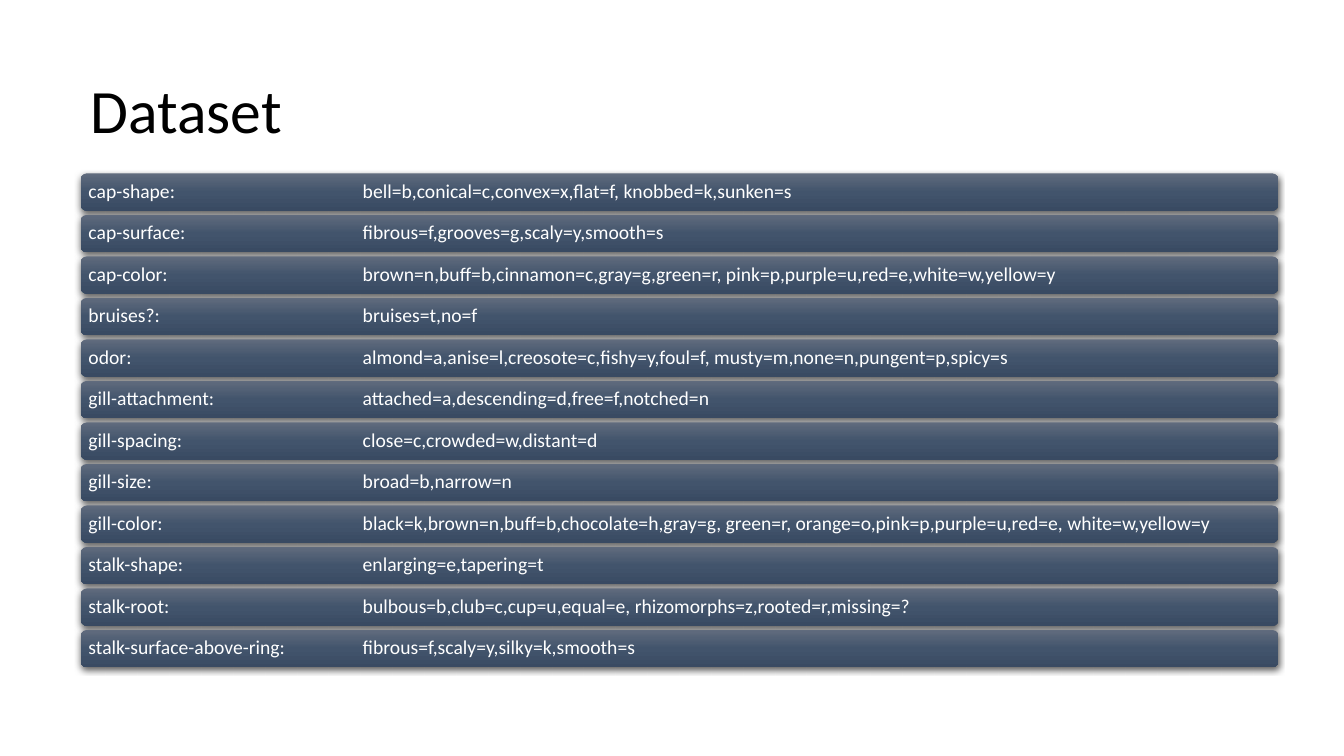
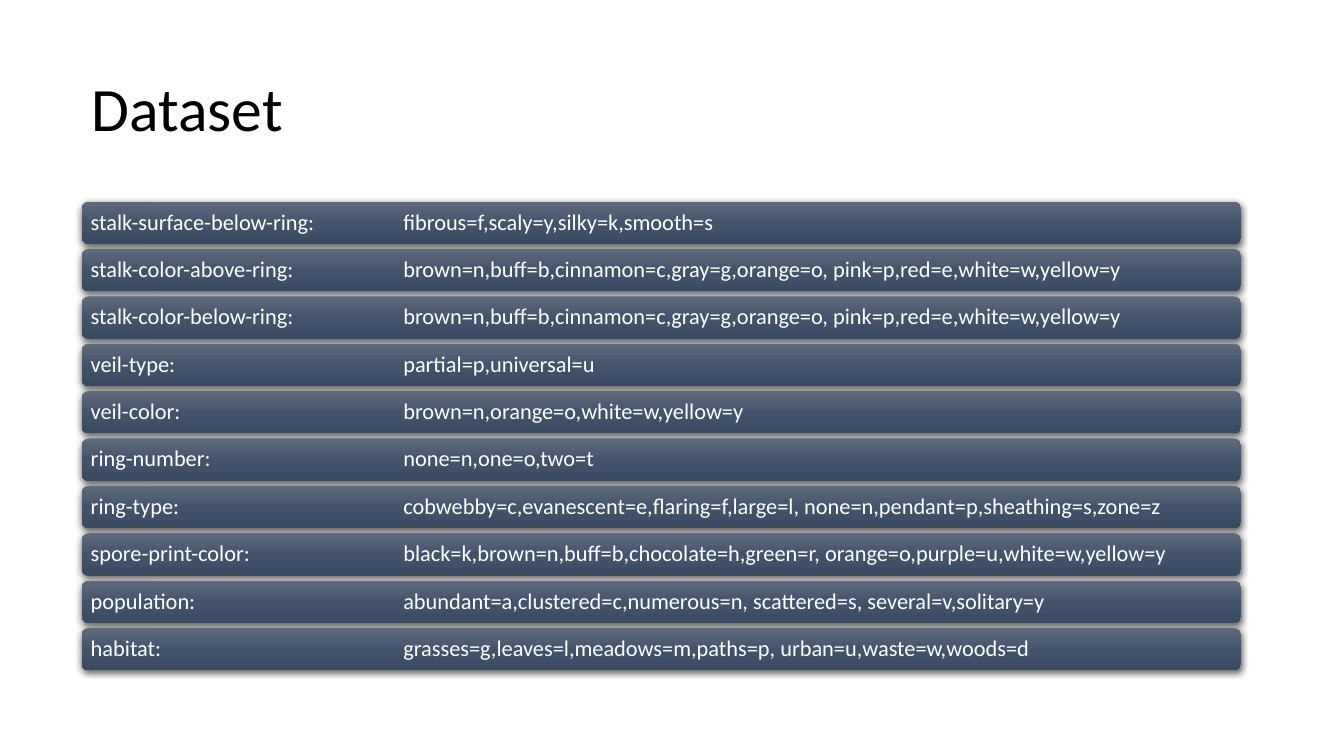
from copy import deepcopy

from lxml.etree import SubElement
from pptx import Presentation
from pptx.dml.color import RGBColor
from pptx.enum.shapes import MSO_SHAPE
from pptx.enum.text import MSO_ANCHOR, PP_ALIGN
from pptx.oxml.ns import qn
from pptx.util import Inches, Pt

COLORS = {"title": "000000", "text": "FFFFFF", "shade": "000000",
          "top": "606B7D", "mid": "42546C", "base": "394A62"}
FONT = "Calibri"

CAPS = [
    ("cap-shape:", "bell=b,conical=c,convex=x,flat=f, knobbed=k,sunken=s"),
    ("cap-surface:", "fibrous=f,grooves=g,scaly=y,smooth=s"),
    ("cap-color:", "brown=n,buff=b,cinnamon=c,gray=g,green=r, "
                   "pink=p,purple=u,red=e,white=w,yellow=y"),
    ("bruises?:", "bruises=t,no=f"),
    ("odor:", "almond=a,anise=l,creosote=c,fishy=y,foul=f, "
              "musty=m,none=n,pungent=p,spicy=s"),
    ("gill-attachment:", "attached=a,descending=d,free=f,notched=n"),
    ("gill-spacing:", "close=c,crowded=w,distant=d"),
    ("gill-size:", "broad=b,narrow=n"),
    ("gill-color:", "black=k,brown=n,buff=b,chocolate=h,gray=g, green=r, "
                    "orange=o,pink=p,purple=u,red=e, white=w,yellow=y"),
    ("stalk-shape:", "enlarging=e,tapering=t"),
    ("stalk-root:", "bulbous=b,club=c,cup=u,equal=e, "
                    "rhizomorphs=z,rooted=r,missing=?"),
    ("stalk-surface-above-ring:", "fibrous=f,scaly=y,silky=k,smooth=s"),
]
STALK = ("brown=n,buff=b,cinnamon=c,gray=g,orange=o, "
         "pink=p,red=e,white=w,yellow=y")
RINGS = [
    ("stalk-surface-below-ring:", "fibrous=f,scaly=y,silky=k,smooth=s"),
    ("stalk-color-above-ring:", STALK),
    ("stalk-color-below-ring:", STALK),
    ("veil-type:", "partial=p,universal=u"),
    ("veil-color:", "brown=n,orange=o,white=w,yellow=y"),
    ("ring-number:", "none=n,one=o,two=t"),
    ("ring-type:", "cobwebby=c,evanescent=e,flaring=f,large=l, "
                   "none=n,pendant=p,sheathing=s,zone=z"),
    ("spore-print-color:", "black=k,brown=n,buff=b,chocolate=h,green=r, "
                           "orange=o,purple=u,white=w,yellow=y"),
    ("population:", "abundant=a,clustered=c,numerous=n, scattered=s, "
                    "several=v,solitary=y"),
    ("habitat:", "grasses=g,leaves=l,meadows=m,paths=p, "
                 "urban=u,waste=w,woods=d"),
]


def write(shape, text, size, color, inset=(0.1, 0.05), tab=None):
    frame = shape.text_frame
    frame.word_wrap = True
    frame.vertical_anchor = MSO_ANCHOR.MIDDLE
    frame.margin_left = frame.margin_right = Inches(inset[0])
    frame.margin_top = frame.margin_bottom = Inches(inset[1])
    para = frame.paragraphs[0]
    para.alignment = PP_ALIGN.LEFT
    para.line_spacing = 0.9
    run = para.add_run()
    run.text = text
    run.font.name = FONT
    run.font.size = Pt(size)
    run.font.color.rgb = RGBColor.from_string(COLORS[color])
    if tab:
        tabs = SubElement(run._r.getparent().get_or_add_pPr(), qn("a:tabLst"))
        SubElement(tabs, qn("a:tab"), pos=str(Inches(tab)), algn="l")


class Deck:
    """Holds the shared style and the current slide."""

    def __init__(self):
        self.file = Presentation()
        self.file.slide_width = Inches(13.33)
        self.file.slide_height = Inches(7.5)

    def page(self, title, left, top):
        self.slide = self.file.slides.add_slide(self.file.slide_layouts[6])
        box = self.slide.shapes.add_textbox(
            Inches(left), Inches(top), Inches(11.5), Inches(1.45))
        write(box, title, 44, "title")

    def bar(self, left, top, width, height):
        shape = self.slide.shapes.add_shape(
            MSO_SHAPE.ROUNDED_RECTANGLE,
            Inches(left), Inches(top), Inches(width), Inches(height))
        shape.line.fill.background()
        self.blend(shape)
        self.shade(shape)
        return shape

    def blend(self, shape):
        shape.fill.gradient()
        shape.fill.gradient_angle = 270
        stops = shape.element.spPr.find(".//" + qn("a:gsLst"))
        stops.append(deepcopy(stops[-1]))
        for stop, spot, name in zip(shape.fill.gradient_stops,
                                    (0, 0.5, 1), ("top", "mid", "base")):
            stop.position = spot
            stop.color.rgb = RGBColor.from_string(COLORS[name])

    def shade(self, shape):
        shape.shadow.inherit = False
        cast = SubElement(
            shape.element.spPr.find(qn("a:effectLst")), qn("a:outerShdw"),
            blurRad=str(Pt(4.5)), dist=str(Pt(1.5)), dir="5400000",
            algn="ctr", rotWithShape="0")
        tint = SubElement(cast, qn("a:srgbClr"), val=COLORS["shade"])
        SubElement(tint, qn("a:alpha"), val="63000")

    def stack(self, rows, left, top, width, height, end, size, inset, tab):
        step = (end - height - top) / (len(rows) - 1)
        for i, row in enumerate(rows):
            bar = self.bar(left, top + i * step, width, height)
            write(bar, "\t".join(row), size, "text",
                  inset=(inset, inset), tab=tab)


def main():
    deck = Deck()
    deck.page("Dataset", 0.8, 0.4)
    deck.stack(CAPS, 0.8, 1.72, 11.88, 0.37, end=6.62,
               size=14, inset=0.06, tab=2.72)
    deck.page("Dataset", 0.81, 0.38)
    deck.stack(RINGS, 0.81, 2, 11.5, 0.42, end=6.65,
               size=16, inset=0.07, tab=3.1)
    deck.file.save("out.pptx")


if __name__ == "__main__":
    main()
